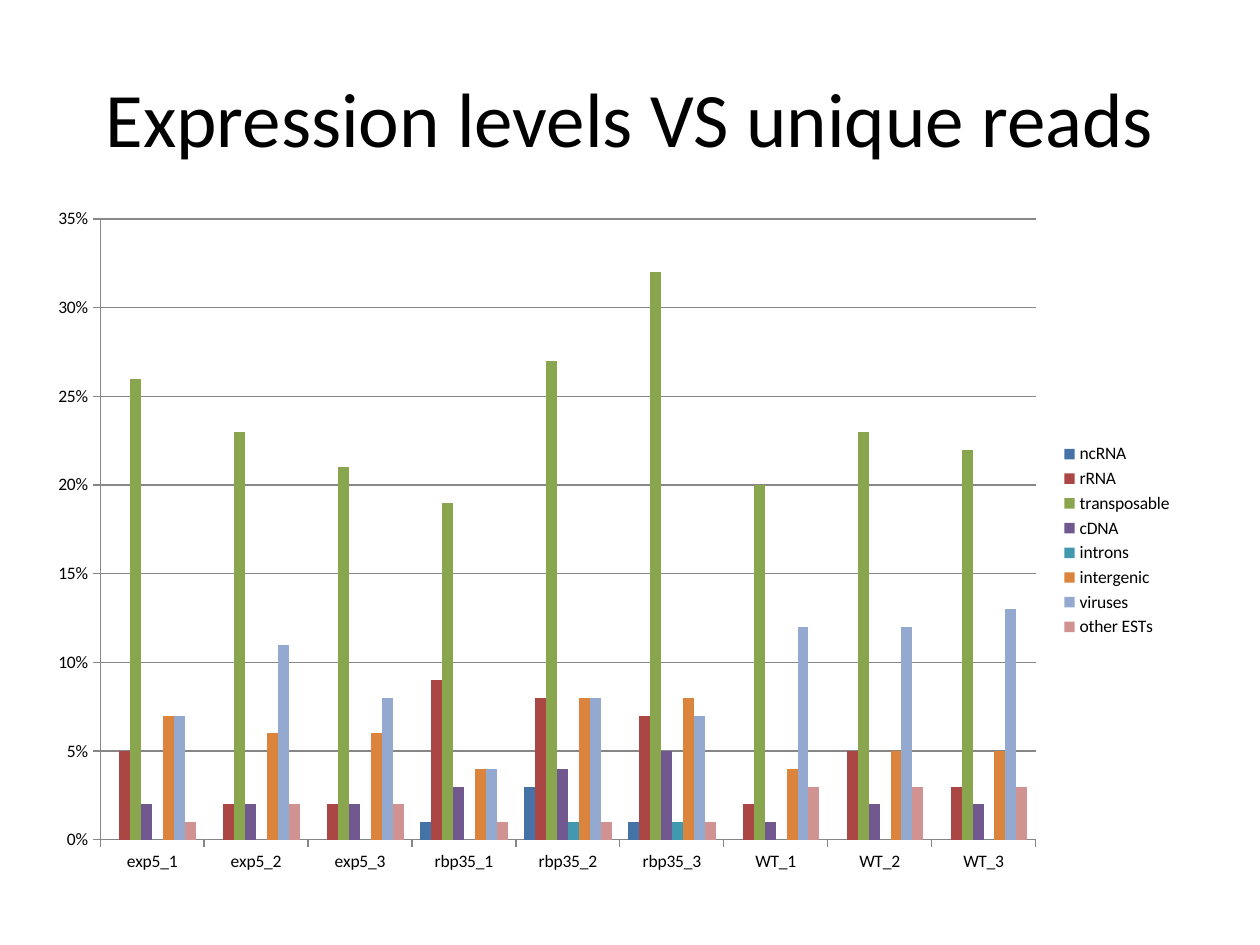
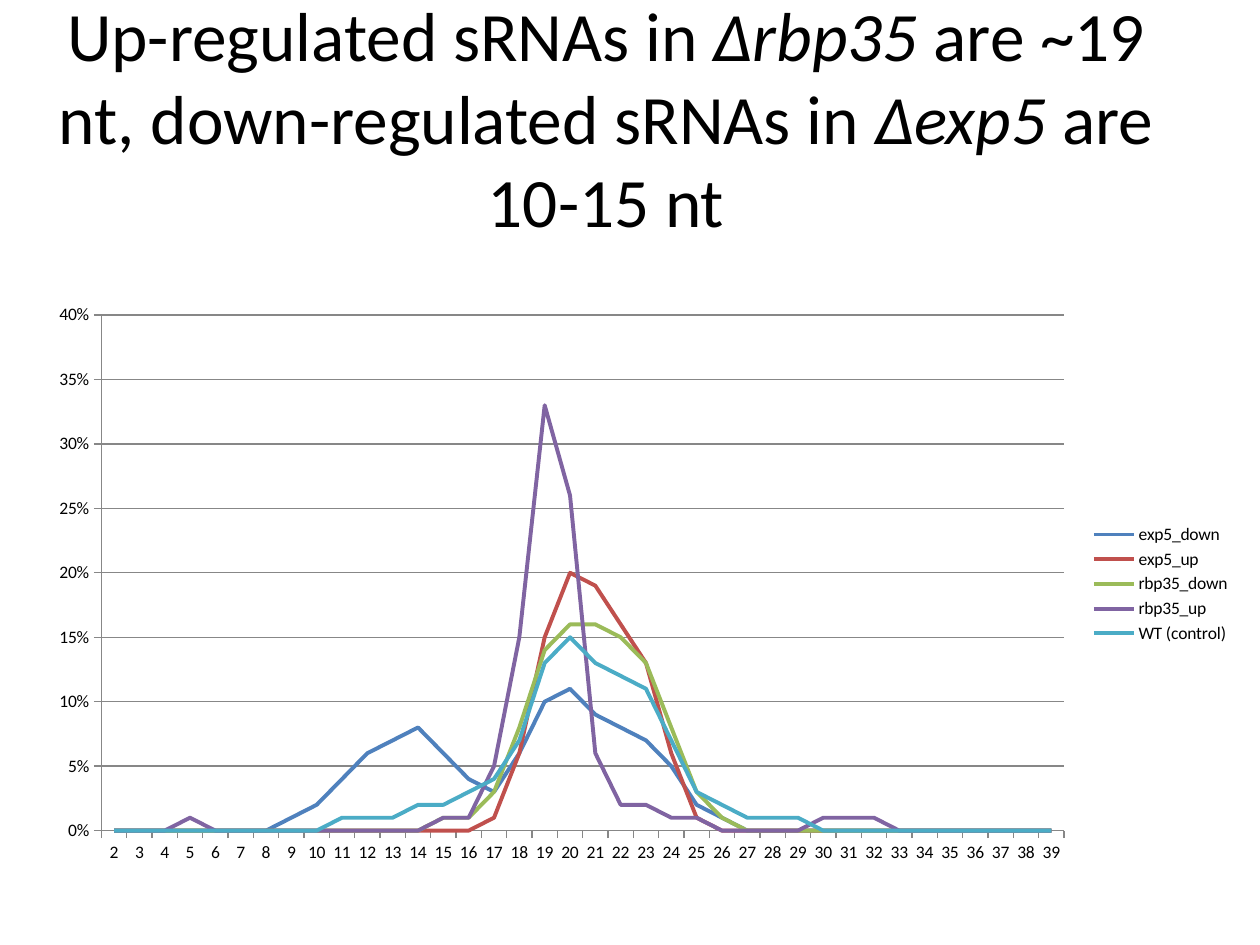
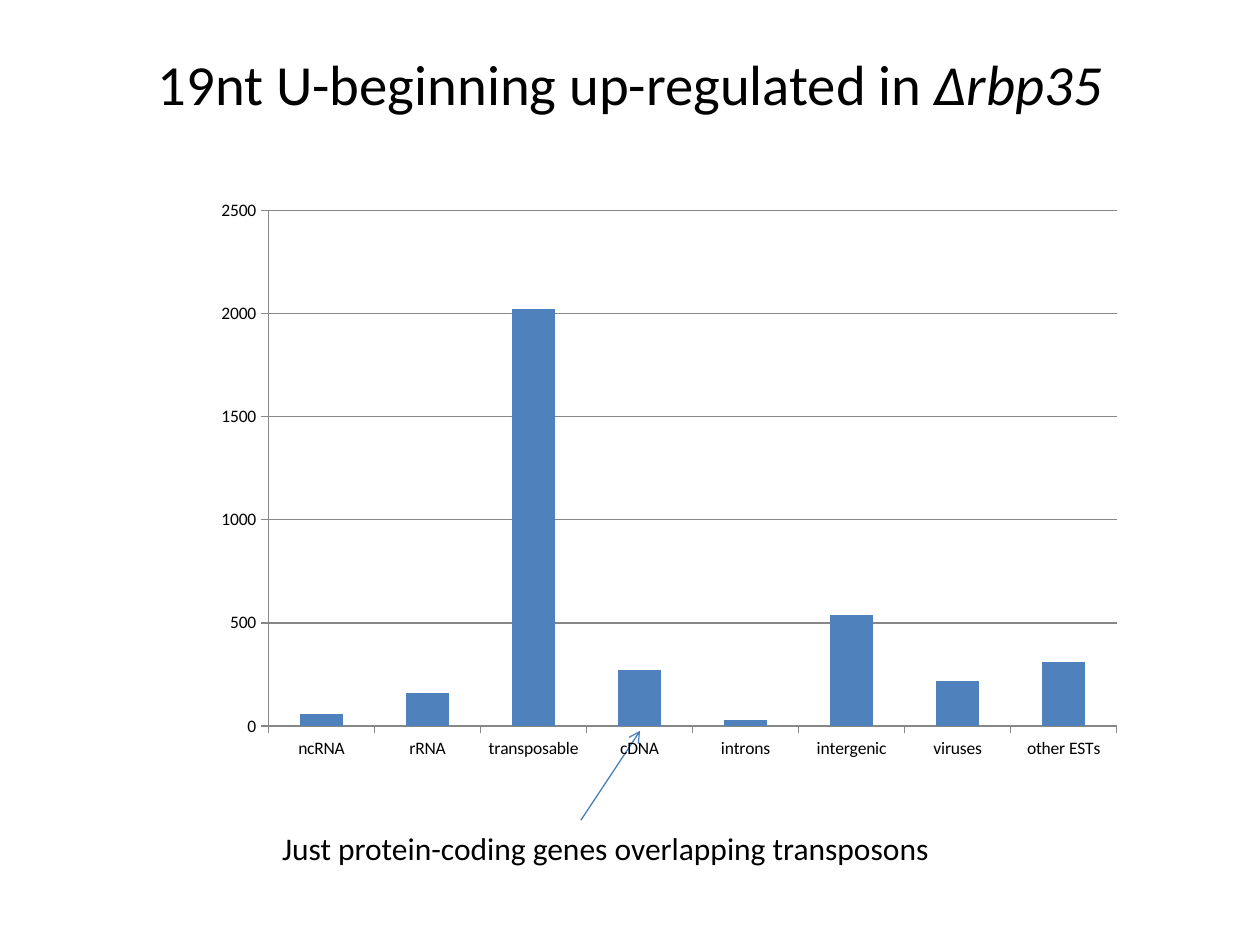
from lxml import etree
from pptx import Presentation
from pptx import util as u
from pptx.chart import data as cd
from pptx.dml.color import RGBColor
from pptx.enum import chart as ch, shapes, text
from pptx.oxml.ns import qn

# Shared look
FONT = "Calibri"
BLACK, GRID, ARROW = "000000", "878787", "4B7EBC"
HUES = ["4F81BD", "C0504D", "9BBB59", "8064A2", "4BACC6"]
DEEP = ["4572A7", "AA4643", "89A54E", "71588F",
        "4198AF", "DB843D", "93A9CF", "D19392"]
BAR, LINE = ch.XL_CHART_TYPE.COLUMN_CLUSTERED, ch.XL_CHART_TYPE.LINE

# Content: titles are (text, italic) runs
READS_TITLE = [("Expression levels VS unique reads", False)]
SIZE_TITLE = [("Up-regulated sRNAs in ", False), ("∆rbp35 ", True),
              ("are ~19 nt, down-regulated sRNAs in ", False),
              ("∆exp5", True), (" are 10-15 nt", False)]
GENE_TITLE = [("19nt U-beginning up-regulated in ", False), ("∆rbp35", True)]
NOTE = [("Just protein-coding genes overlapping transposons", False)]

# Share of unique reads, in percent
SAMPLES = [f"{name}_{n}" for name in ("exp5", "rbp35", "WT") for n in (1, 2, 3)]
READS = {
    "ncRNA": [0, 0, 0, 1, 3, 1, 0, 0, 0],
    "rRNA": [5, 2, 2, 9, 8, 7, 2, 5, 3],
    "transposable": [26, 23, 21, 19, 27, 32, 20, 23, 22],
    "cDNA": [2, 2, 2, 3, 4, 5, 1, 2, 2],
    "introns": [0, 0, 0, 0, 1, 1, 0, 0, 0],
    "intergenic": [7, 6, 6, 4, 8, 8, 4, 5, 5],
    "viruses": [7, 11, 8, 4, 8, 7, 12, 12, 13],
    "other ESTs": [1, 2, 2, 1, 1, 1, 3, 3, 3],
}

# Share of sRNAs by length in nt, in percent
LENGTHS = [str(n) for n in range(2, 40)]
SIZES = {
    "exp5_down": [0, 0, 0, 0, 0, 0, 0, 1, 2, 4, 6, 7, 8, 6, 4, 3, 6, 10, 11,
                  9, 8, 7, 5, 2, 1, 0, 0, 0, 0, 0, 0, 0, 0, 0, 0, 0, 0, 0],
    "exp5_up": [0, 0, 0, 0, 0, 0, 0, 0, 0, 0, 0, 0, 0, 0, 0, 1, 6, 15, 20,
                19, 16, 13, 6, 1, 0, 0, 0, 0, 0, 0, 0, 0, 0, 0, 0, 0, 0, 0],
    "rbp35_down": [0, 0, 0, 0, 0, 0, 0, 0, 0, 0, 0, 0, 0, 1, 1, 3, 8, 14, 16,
                   16, 15, 13, 8, 3, 1, 0, 0, 0, 0, 0, 0, 0, 0, 0, 0, 0, 0, 0],
    "rbp35_up": [0, 0, 0, 1, 0, 0, 0, 0, 0, 0, 0, 0, 0, 1, 1, 5, 15, 33, 26,
                 6, 2, 2, 1, 1, 0, 0, 0, 0, 1, 1, 1, 0, 0, 0, 0, 0, 0, 0],
    "WT (control)": [0, 0, 0, 0, 0, 0, 0, 0, 0, 1, 1, 1, 2, 2, 3, 4, 7, 13, 15,
                     13, 12, 11, 7, 3, 2, 1, 1, 1, 0, 0, 0, 0, 0, 0, 0, 0, 0, 0],
}
COUNTS = {"Series 1": [60, 160, 2020, 270, 30, 540, 220, 310]}


def color(hue):
    return RGBColor.from_string(hue)


def box(at):
    return [u.Inches(n) for n in at]


def write(slide, runs, at, size, align=text.PP_ALIGN.LEFT,
          anchor=text.MSO_ANCHOR.TOP, wrap=True, low=0.05):
    frame = slide.shapes.add_textbox(*box(at)).text_frame
    frame.word_wrap = wrap
    frame.vertical_anchor = anchor
    frame.margin_bottom = u.Inches(low)
    para = frame.paragraphs[0]
    para.alignment = align
    for words, slant in runs:
        run = para.add_run()
        run.text = words
        font = run.font
        font.name, font.size, font.italic = FONT, u.Pt(size), slant
        font.color.rgb = color(BLACK)


def head(slide, runs, size, left=0.5, width=9, low=0.05):
    write(slide, runs, (left, 0.3, width, 1.25), size, low=low,
          align=text.PP_ALIGN.CENTER, anchor=text.MSO_ANCHOR.MIDDLE)


def plot(slide, kind, cats, rows, at, top, step, share=True, hues=HUES):
    """Add a chart; share turns percents into fractions."""
    form = "0%" if share else "General"
    data = cd.CategoryChartData(number_format=form)
    data.categories = cats
    for name, vals in rows.items():
        data.add_series(name, [v / 100 for v in vals] if share else vals)
    chart = slide.shapes.add_chart(kind, *box(at), data).chart
    chart.has_title = False
    chart.font.name, chart.font.size = FONT, u.Pt(10)
    chart.font.color.rgb = color(BLACK)

    # Legend and axes
    chart.has_legend = len(rows) > 1
    if chart.has_legend:
        chart.legend.position = ch.XL_LEGEND_POSITION.RIGHT
        chart.legend.include_in_layout = False
    vert = chart.value_axis
    vert.has_major_gridlines = True
    vert.tick_labels.number_format = form
    vert.tick_labels.number_format_is_linked = False
    vert.minimum_scale, vert.maximum_scale, vert.major_unit = 0, top, step
    for axis in (chart.category_axis, vert):
        axis.major_tick_mark = ch.XL_TICK_MARK.OUTSIDE
    for part in (chart.category_axis, vert, vert.major_gridlines):
        part.format.line.color.rgb = color(GRID)
        part.format.line.width = u.Pt(0.75)

    # Series
    body = chart.plots[0]
    body.vary_by_categories = False
    if kind == BAR:
        body.gap_width = 150
    for row, hue in zip(body.series, hues):
        if kind == BAR:
            row.format.fill.solid()
            row.format.fill.fore_color.rgb = color(hue)
        else:
            row.smooth = False
            row.format.line.color.rgb = color(hue)
            row.format.line.width = u.Pt(2.25)


def arrow(slide, start, end):
    line = slide.shapes.add_connector(
        shapes.MSO_CONNECTOR.STRAIGHT, *box(start + end))
    line.line.color.rgb = color(ARROW)
    line.line.width = u.Pt(0.75)
    props = line._element.spPr
    etree.SubElement(props.find(qn("a:ln")), qn("a:tailEnd"), type="arrow")
    etree.SubElement(props, qn("a:effectLst"))


def main():
    deck = Presentation()
    deck.slide_width, deck.slide_height = u.Inches(10), u.Inches(7.5)
    reads, sizes, genes = [
        deck.slides.add_slide(deck.slide_layouts[6]) for _ in range(3)]

    # Reads per sample
    head(reads, READS_TITLE, 44)
    plot(reads, BAR, SAMPLES, READS, (0.28, 1.55, 9.13, 5.48),
         top=0.35, step=0.05, hues=DEEP)

    # Length profile
    head(sizes, SIZE_TITLE, 39.6, left=0.12, width=9.38)
    plot(sizes, LINE, LENGTHS, SIZES, (0.28, 2.33, 9.59, 4.61),
         top=0.4, step=0.05)

    # Gene classes, with a note on cDNA
    head(genes, GENE_TITLE, 32.4, low=0.59)
    arrow(genes, (4.61, 6.51), (5.08, 5.8))
    write(genes, NOTE, (2.14, 6.53, 5.4, 0.4), 18, wrap=False)
    plot(genes, BAR, list(READS), COUNTS, (1.61, 1.5, 7.4, 4.61),
         top=2500, step=500, share=False)

    deck.save("out.pptx")


if __name__ == "__main__":
    main()
